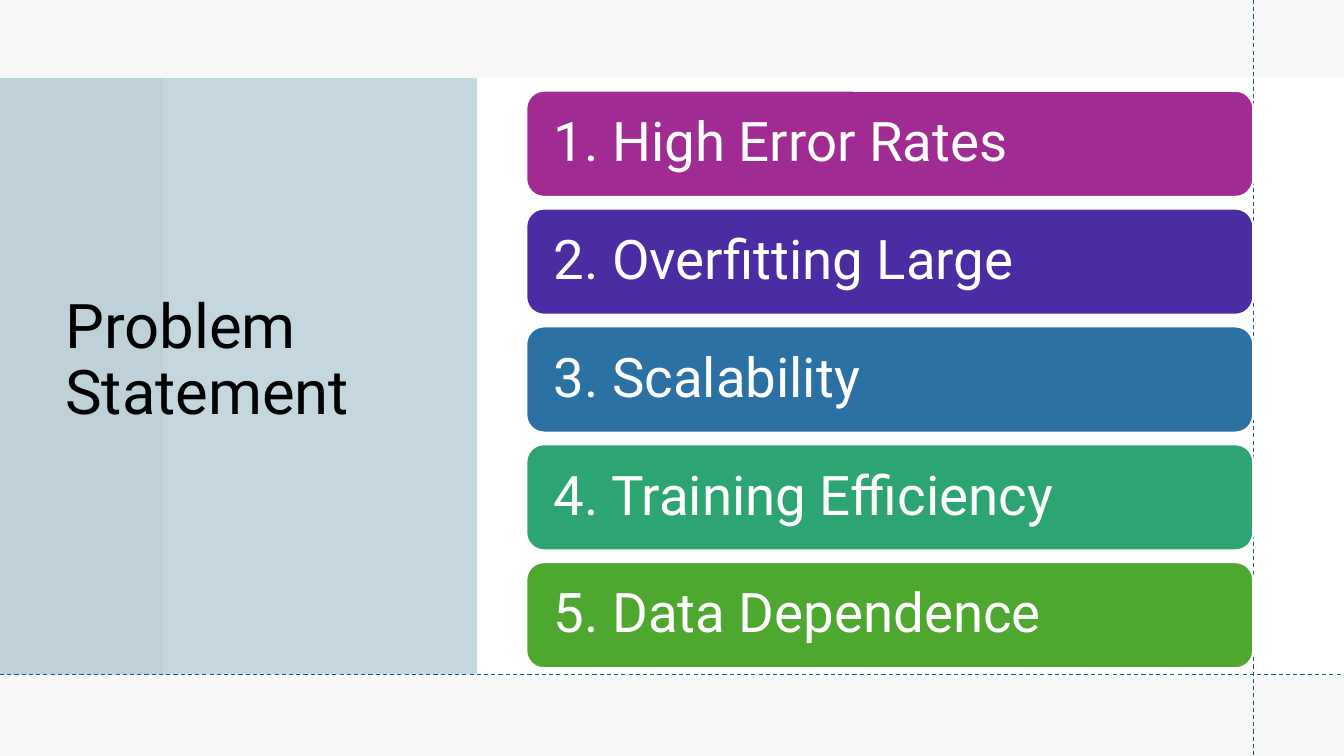
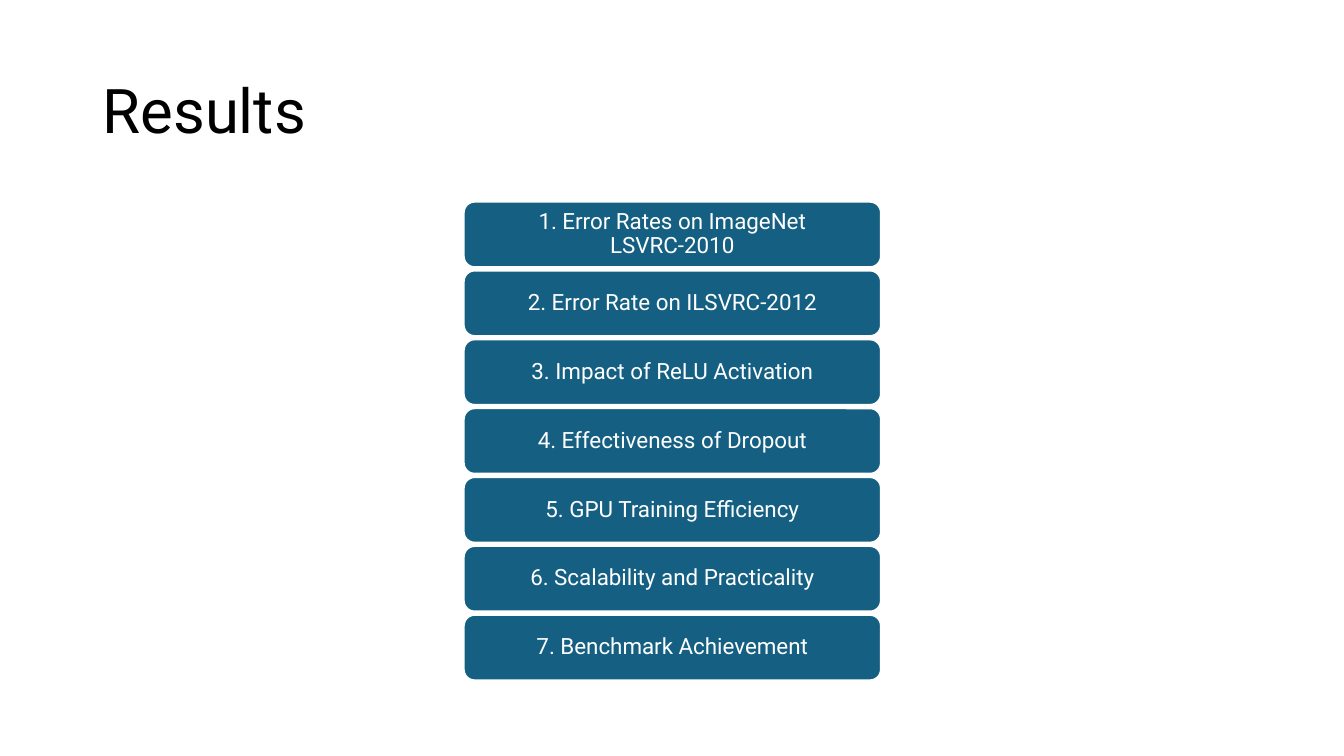
import pptx
import pptx.util
import pptx.oxml
import pptx.oxml.ns
import pptx.dml.color
import pptx.enum.dml
import pptx.enum.shapes
import pptx.enum.text

WIDE, HIGH = 13.33, 7.5
FONT = "Roboto"
HUES = {
    "white": "FFFFFF",
    "black": "000000",
    "mist": "F7F7F7",
    "teal": "156082",
    "plum": "A02B93",
    "violet": "4B2CA2",
    "blue": "2C71A4",
    "jade": "2DA573",
    "green": "4EA72E",
}
ALIGN = pptx.enum.text.PP_ALIGN
FORM = pptx.enum.shapes.MSO_SHAPE

ISSUES = [
    ("1. High Error Rates", "plum"),
    ("2. Overfitting Large", "violet"),
    ("3. Scalability", "blue"),
    ("4. Training Efficiency", "jade"),
    ("5. Data Dependence", "green"),
]
RESULTS = [(text, "teal") for text in (
    "1. Error Rates on ImageNet LSVRC-2010",
    "2. Error Rate on ILSVRC-2012",
    "3. Impact of ReLU Activation",
    "4. Effectiveness of Dropout",
    "5. GPU Training Efficiency",
    "6. Scalability and Practicality",
    "7. Benchmark Achievement",
)]


# Helpers: positions are percentages of the slide's width and height
def hue(name):
    return pptx.dml.color.RGBColor.from_string(HUES[name])


def place(x, y, w, h):
    return [pptx.util.Inches(share * side / 100)
            for share, side in ((x, WIDE), (y, HIGH), (w, WIDE), (h, HIGH))]


def paint(slide, name):
    slide.background.fill.solid()
    slide.background.fill.fore_color.rgb = hue(name)


def write(shape, text, size, name, align=ALIGN.LEFT, inset=0.1):
    frame = shape.text_frame
    frame.word_wrap = True
    frame.vertical_anchor = pptx.enum.text.MSO_ANCHOR.MIDDLE
    frame.margin_left = frame.margin_right = pptx.util.Inches(inset)
    para = frame.paragraphs[0]
    para.text = text
    para.alignment = align
    para.line_spacing = 0.9
    para.font.name = FONT
    para.font.size = pptx.util.Pt(size)
    para.font.color.rgb = hue(name)


def title(slide, text, box):
    write(slide.shapes.add_textbox(*place(*box)), text, 44, "black")


def block(slide, box, name, form=FORM.RECTANGLE, alpha=100):
    shape = slide.shapes.add_shape(form, *place(*box))
    shape.shadow.inherit = False
    shape.fill.solid()
    shape.fill.fore_color.rgb = hue(name)
    shape.line.fill.background()
    if alpha < 100:
        tint = shape.element.spPr.xpath("a:solidFill/a:srgbClr")[0]
        tint.append(pptx.oxml.parse_xml(
            f'<a:alpha {pptx.oxml.ns.nsdecls("a")} val="{alpha * 1000}"/>'))
    return shape


def guide(slide, x, y, w, h):
    left, top, width, height = place(x, y, w, h)
    line = slide.shapes.add_connector(
        pptx.enum.shapes.MSO_CONNECTOR.STRAIGHT,
        left, top, left + width, top + height)
    line.line.color.rgb = hue("teal")
    line.line.width = pptx.util.Pt(0.75)
    line.line.dash_style = pptx.enum.dml.MSO_LINE.DASH
    line.element.spPr.append(pptx.oxml.parse_xml(
        f'<a:effectLst {pptx.oxml.ns.nsdecls("a")}/>'))


def stack(slide, box, items, gap, size, align, inset):
    """Fill box with equal cards; gap is a share of a card's height."""
    x, y, w, h = box
    tall = h / (len(items) + gap * (len(items) - 1))
    for row, (text, name) in enumerate(items):
        spot = (x, y + row * tall * (1 + gap), w, tall)
        card = block(slide, spot, name, FORM.ROUNDED_RECTANGLE)
        card.line.color.rgb = hue("white")
        card.line.width = pptx.util.Pt(1.5)
        write(card, text, size, "white", align, inset)


# Slides
def problem(slide):
    paint(slide, "mist")
    block(slide, (12.15, 10.33, 87.85, 79.2), "white")
    block(slide, (0, 10.33, 35.48, 78.93), "teal", alpha=25)
    title(slide, "Problem Statement", (4.13, 9.87, 29.63, 75.87))
    guide(slide, 93.25, 0, 0, 100)
    guide(slide, 0, 89.2, 100, 0)
    stack(slide, (39.16, 12, 54.09, 76.4), ISSUES, 0.11, 39,
          ALIGN.LEFT, 0.22)


def results(slide):
    paint(slide, "white")
    title(slide, "Results", (6.9, 5.33, 86.25, 19.33))
    stack(slide, (34.5, 26.67, 31.05, 63.33), RESULTS, 0.05, 16,
          ALIGN.CENTER, 0.09)


def main():
    deck = pptx.Presentation()
    deck.slide_width = pptx.util.Inches(WIDE)
    deck.slide_height = pptx.util.Inches(HIGH)
    for build in (problem, results):
        build(deck.slides.add_slide(deck.slide_layouts[6]))
    deck.save("out.pptx")


if __name__ == "__main__":
    main()
